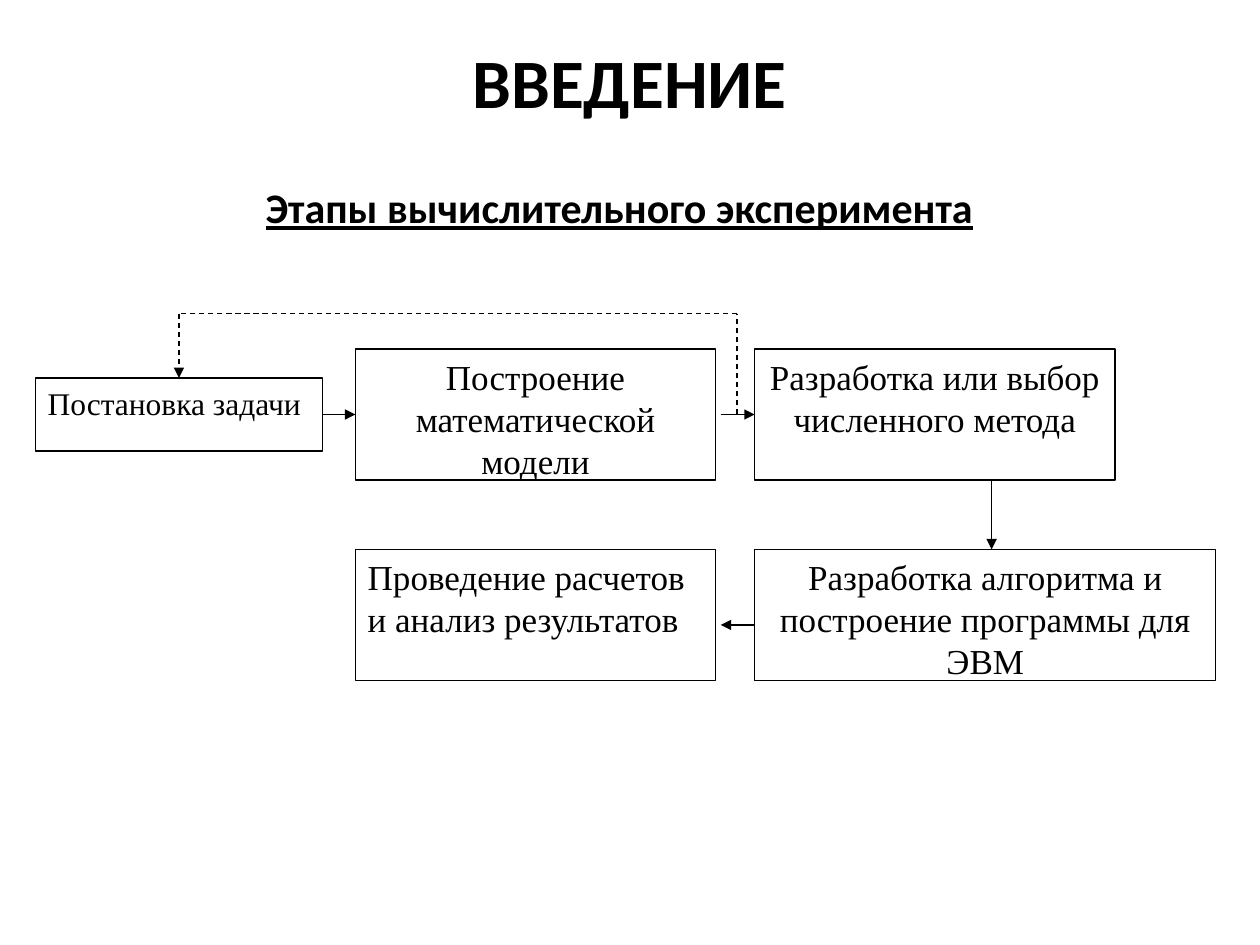
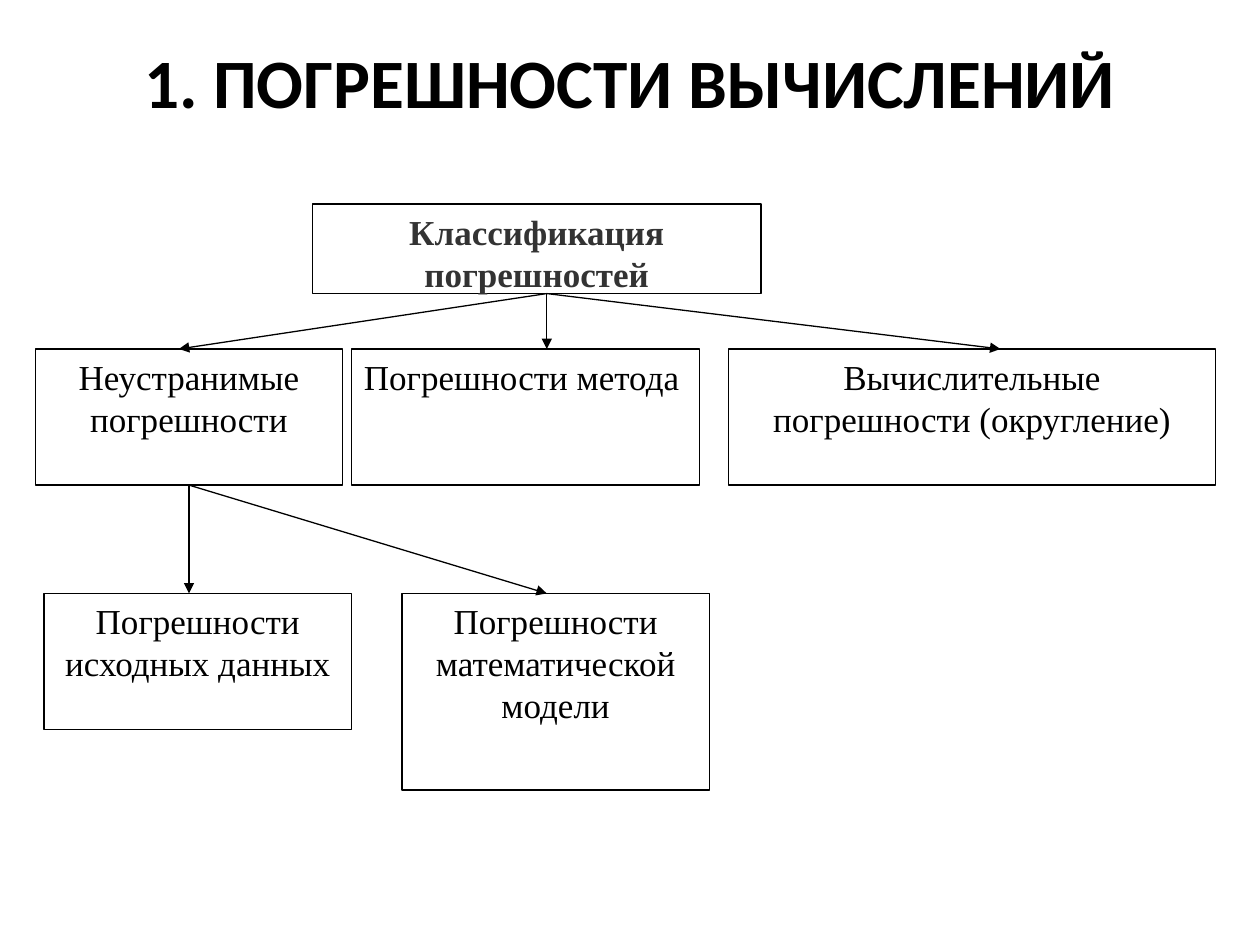
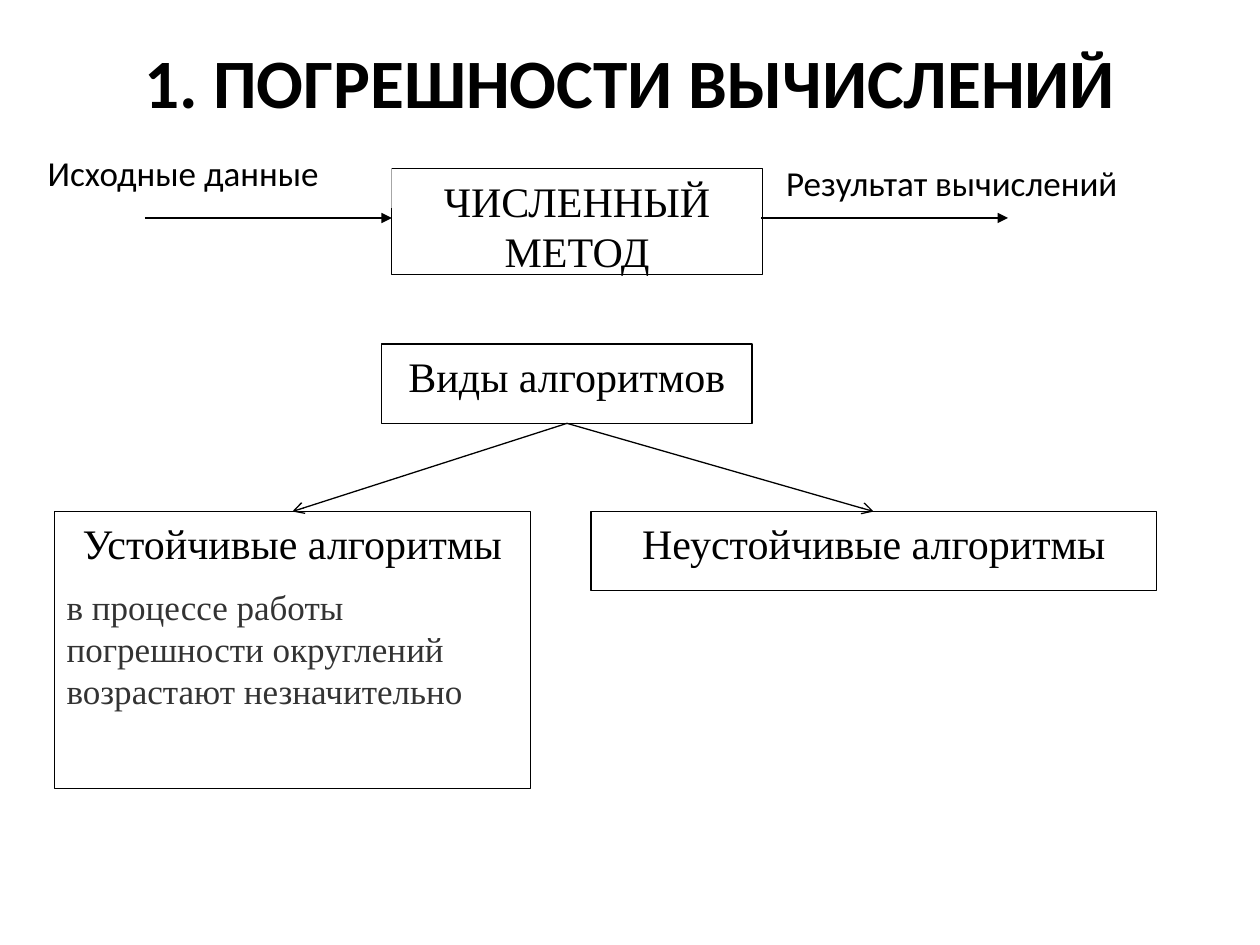
"""Build three slides of block diagrams on numerical methods."""
from lxml import etree
from pptx import Presentation
from pptx.dml.color import RGBColor
from pptx.enum import dml, shapes, text
from pptx.oxml import ns
from pptx.util import Inches, Pt

BLACK = RGBColor(0x00, 0x00, 0x00)
GREY = RGBColor(0x33, 0x33, 0x33)
WHITE = RGBColor(0xFF, 0xFF, 0xFF)
SERIF, SANS = "Times New Roman", "Calibri"
TOP, LEFT, BOTTOM, RIGHT = range(4)
TITLE_FRAME = (0.5, 0.3, 9, 0.69)
TITLE_FONT = {"name": SANS, "size": Pt(39.6), "bold": True}

STYLES = {
    "subtitle": ("l", {"name": SANS, "size": Pt(24), "bold": True, "underline": True}),
    "label": ("l", {"name": SANS, "size": Pt(20)}),
    "small": ("l", {"name": SERIF, "size": Pt(18)}),
    "left": ("l", {"name": SERIF, "size": Pt(20)}),
    "block": ("c", {"name": SERIF, "size": Pt(20)}),
    "root": ("c", {"name": SERIF, "size": Pt(20), "bold": True}),
    "large": ("c", {"name": SERIF, "size": Pt(24)}),
    "note": ("l", {"name": SERIF, "size": Pt(20)}),
}
GREY_STYLES = {"root", "note"}
UNFRAMED = {"subtitle", "label"}
ALIGN = {"l": text.PP_ALIGN.LEFT, "c": text.PP_ALIGN.CENTER}

# Blocks: key -> (frame, [(style, text)]); links: (from, to, head, dashed),
# where an end is a point or a (block key, side) pair.
SLIDES = [
    {
        "title": "ВВЕДЕНИЕ",
        "blocks": {
            "stages": ((2.01, 1.39, 6.02, 0.5), [("subtitle", "Этапы вычислительного эксперимента")]),
            "task": ((0.28, 3, 2.28, 0.58), [("small", "Постановка задачи")]),
            "model": ((2.82, 2.77, 2.86, 1.04), [("block", "Построение математической модели")]),
            "method": ((5.99, 2.77, 2.86, 1.04), [("block", "Разработка или выбор численного метода")]),
            "program": ((5.99, 4.36, 3.66, 1.04),
                        [("block", "Разработка алгоритма и построение программы для ЭВМ")]),
            "results": ((2.82, 4.36, 2.86, 1.04), [("left", "Проведение расчетов и анализ результатов")]),
        },
        "links": [
            (("task", RIGHT), ("model", LEFT), "triangle", False),
            ((5.72, 3.29), ("method", LEFT), "triangle", False),
            ((5.99, 4.96), (5.72, 4.96), "triangle", False),
            ((7.87, 3.81), (7.87, 4.36), "triangle", False),
            ((5.85, 3.29), (5.85, 2.49), None, True),
            ((5.85, 2.49), (1.42, 2.49), None, True),
            ((1.42, 2.49), ("task", TOP), "triangle", True),
        ],
    },
    {
        "title": "1. ПОГРЕШНОСТИ ВЫЧИСЛЕНИЙ",
        "blocks": {
            "classes": ((2.48, 1.62, 3.56, 0.71), [("root", "Классификация погрешностей")]),
            "inherent": ((0.28, 2.77, 2.44, 1.08), [("block", "Неустранимые погрешности")]),
            "method": ((2.79, 2.77, 2.76, 1.08), [("left", "Погрешности метода")]),
            "rounding": ((5.78, 2.77, 3.87, 1.08), [("block", "Вычислительные погрешности (округление)")]),
            "data": ((0.35, 4.71, 2.44, 1.08), [("block", "Погрешности исходных данных")]),
            "model": ((3.19, 4.71, 2.44, 1.56), [("block", "Погрешности математической модели")]),
        },
        "links": [((4.34, 2.33), (x, 2.77), "triangle", False) for x in (1.42, 4.34, 7.94)]
        + [(("inherent", BOTTOM), (x, 4.71), "triangle", False) for x in (1.5, 4.34)],
    },
    {
        "title": "1. ПОГРЕШНОСТИ ВЫЧИСЛЕНИЙ",
        "blocks": {
            "method": ((3.11, 1.34, 2.94, 0.84), [("large", "ЧИСЛЕННЫЙ МЕТОД")]),
            "input": ((0.28, 1.15, 2.83, 0.5), [("label", "Исходные данные")]),
            "output": ((6.14, 1.23, 3.31, 0.5), [("label", "Результат вычислений")]),
            "kinds": ((3.03, 2.73, 2.94, 0.63), [("large", "Виды алгоритмов")]),
            "stable": ((0.43, 4.06, 3.78, 2.2), [
                ("large", "Устойчивые алгоритмы"),
                ("note", "в процессе работы погрешности округлений возрастают незначительно"),
            ]),
            "unstable": ((4.69, 4.06, 4.49, 0.63), [("large", "Неустойчивые алгоритмы")]),
        },
        "links": [((x, 1.73), (x + 1.96, 1.73), "triangle", False) for x in (1.15, 6.04)]
        + [(("kinds", BOTTOM), (kind, TOP), "arrow", False) for kind in ("stable", "unstable")],
    },
]


def set_font(font, values, color=BLACK):
    """Apply font values and a colour."""
    for name, value in values.items():
        setattr(font, name, value)
    font.color.rgb = color


def add_title(slide, wording):
    """Place and format the title placeholder."""
    title = slide.shapes.title
    for side, value in zip(("left", "top", "width", "height"), TITLE_FRAME):
        setattr(title, side, Inches(value))
    title.text_frame.vertical_anchor = text.MSO_ANCHOR.MIDDLE
    paragraph = title.text_frame.paragraphs[0]
    paragraph.alignment = text.PP_ALIGN.CENTER
    run = paragraph.add_run()
    run.text = wording
    set_font(run.font, TITLE_FONT)


def add_block(slide, frame, paragraphs):
    """Add a white text block, framed unless it is a caption."""
    block = slide.shapes.add_textbox(*map(Inches, frame))
    block.fill.solid()
    block.fill.fore_color.rgb = WHITE
    first_style = paragraphs[0][0]
    if first_style not in UNFRAMED:
        block.line.color.rgb = BLACK
        block.line.width = Pt(0.75)
    body = block.text_frame
    body.word_wrap = True
    centred = first_style == "subtitle"
    body.vertical_anchor = text.MSO_ANCHOR.MIDDLE if centred else text.MSO_ANCHOR.TOP
    for index, (style, wording) in enumerate(paragraphs):
        align, values = STYLES[style]
        paragraph = body.add_paragraph() if index else body.paragraphs[0]
        paragraph.alignment = ALIGN[align]
        paragraph.space_after = Pt(0 if centred else 10)
        run = paragraph.add_run()
        run.text = wording
        set_font(run.font, values, GREY if style in GREY_STYLES else BLACK)
    return block


def add_link(slide, blocks, start, end, head, dashed):
    """Draw a straight link between points or block sides."""
    points = [(0, 0) if place[0] in blocks else place for place in (start, end)]
    link = slide.shapes.add_connector(
        shapes.MSO_CONNECTOR.STRAIGHT, *(Inches(value) for point in points for value in point))
    for place, join in ((start, link.begin_connect), (end, link.end_connect)):
        if place[0] in blocks:
            join(blocks[place[0]], place[1])
    link.line.color.rgb = BLACK
    link.line.width = Pt(0.75)
    if dashed:
        link.line.dash_style = dml.MSO_LINE.DASH
    properties = link._element.spPr
    if head:
        etree.SubElement(properties.find(ns.qn("a:ln")), ns.qn("a:tailEnd"), type=head)
    etree.SubElement(properties, ns.qn("a:effectLst"))


def main():
    """Build and save the presentation."""
    deck = Presentation()
    deck.slide_width, deck.slide_height = Inches(10), Inches(7.5)
    for content in SLIDES:
        slide = deck.slides.add_slide(deck.slide_layouts[5])
        add_title(slide, content["title"])
        blocks = {key: add_block(slide, *block) for key, block in content["blocks"].items()}
        for link in content["links"]:
            add_link(slide, blocks, *link)
    deck.save("out.pptx")


if __name__ == "__main__":
    main()
